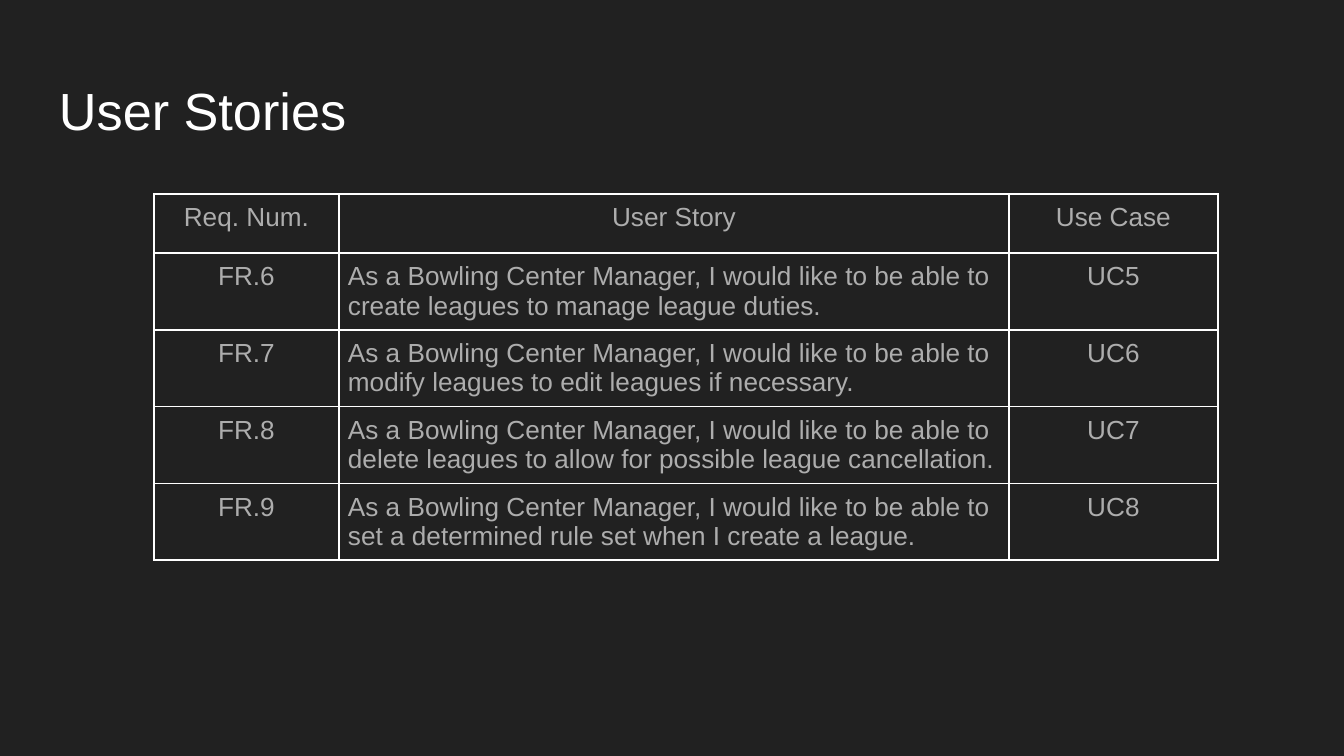
"""Build the User Stories slide with its requirements table."""
import lxml.etree
import pptx
import pptx.dml.color
import pptx.enum.text
import pptx.oxml.ns
import pptx.util

TITLE = "User Stories"
HEADER = ("Req. Num.", "User Story", "Use Case")
STORY_OPENING = "As a Bowling Center Manager, I would like to be able to "
STORIES = [
    ("FR.6", "create leagues to manage league duties.", "UC5"),
    ("FR.7", "modify leagues to edit leagues if necessary.", "UC6"),
    ("FR.8", "delete leagues to allow for possible league cancellation.", "UC7"),
    ("FR.9", "set a determined rule set when I create a league.", "UC8"),
]
THEME = {
    "font": "Arial",
    "background": "212121",
    "title": ("FFFFFF", 28),
    "body": ("ADADAD", 14),
    "border": ("FFFFFF", 1),
}
SLIDE_SIZE = (1344, 756)
TITLE_BOX = (46, 65, 1253, 85)
TITLE_INSET = 13
TABLE_ORIGIN = (154, 194)
COLUMN_WIDTHS = (185, 670, 209)
HEADER_HEIGHT, STORY_HEIGHT = 59, 56
CELL_INSET = 9
STORY_COLUMN = 1
SIDES = ("left", "top", "right", "bottom")
ALIGN = pptx.enum.text.PP_ALIGN
ANCHOR = pptx.enum.text.MSO_ANCHOR


def px(length):
    """Convert pixels to EMU."""
    return round(length * 914400 / 134.4)


def apply(target, values):
    """Set attributes from a dict."""
    for name, value in values.items():
        setattr(target, name, value)


def margins(inset):
    """Return equal margins for all four sides."""
    return {f"margin_{side}": px(inset) for side in SIDES}


def write(text_frame, text, style, alignment):
    """Write one formatted paragraph."""
    color, size = THEME[style]
    paragraph = text_frame.paragraphs[0]
    paragraph.alignment = alignment
    run = paragraph.add_run()
    run.text = text
    apply(run.font, {"name": THEME["font"], "size": pptx.util.Pt(size), "bold": False})
    run.font.color.rgb = pptx.dml.color.RGBColor.from_string(color)


def add_borders(cell):
    """Draw a solid line on each side of a cell."""
    color, width = THEME["border"]
    properties = cell._tc.get_or_add_tcPr()
    for index, side in enumerate("LRTB"):
        line = lxml.etree.Element(
            pptx.oxml.ns.qn(f"a:ln{side}"), w=str(pptx.util.Pt(width)))
        fill = lxml.etree.SubElement(line, pptx.oxml.ns.qn("a:solidFill"))
        lxml.etree.SubElement(fill, pptx.oxml.ns.qn("a:srgbClr"), val=color)
        properties.insert(index, line)


def add_title(slide):
    """Place and format the title."""
    title = slide.shapes.title
    apply(title, dict(zip(("left", "top", "width", "height"), map(px, TITLE_BOX))))
    apply(title.text_frame, {
        **margins(TITLE_INSET),
        "word_wrap": True,
        "auto_size": pptx.enum.text.MSO_AUTO_SIZE.NONE,
        "vertical_anchor": ANCHOR.TOP,
    })
    write(title.text_frame, TITLE, "title", ALIGN.LEFT)


def add_stories(slide):
    """Add the table of requirements."""
    rows = [HEADER] + [(number, STORY_OPENING + wish, case)
                       for number, wish, case in STORIES]
    heights = [HEADER_HEIGHT] + [STORY_HEIGHT] * len(STORIES)
    table = slide.shapes.add_table(
        len(rows), len(HEADER), *map(px, TABLE_ORIGIN),
        px(sum(COLUMN_WIDTHS)), px(sum(heights))).table
    apply(table, {"first_row": False, "horz_banding": False})
    for column, width in zip(table.columns, COLUMN_WIDTHS):
        column.width = px(width)
    for row_index, (values, height) in enumerate(zip(rows, heights)):
        table.rows[row_index].height = px(height)
        for column_index, text in enumerate(values):
            cell = table.cell(row_index, column_index)
            apply(cell, {**margins(CELL_INSET), "vertical_anchor": ANCHOR.TOP})
            cell.fill.background()
            add_borders(cell)
            is_story = row_index > 0 and column_index == STORY_COLUMN
            write(cell.text_frame, text, "body", ALIGN.LEFT if is_story else ALIGN.CENTER)


def main():
    """Create and save the presentation."""
    presentation = pptx.Presentation()
    apply(presentation, dict(zip(("slide_width", "slide_height"), map(px, SLIDE_SIZE))))
    slide = presentation.slides.add_slide(presentation.slide_layouts[5])
    background = slide.background.fill
    background.solid()
    background.fore_color.rgb = pptx.dml.color.RGBColor.from_string(THEME["background"])
    add_title(slide)
    add_stories(slide)
    presentation.save("out.pptx")


if __name__ == "__main__":
    main()
